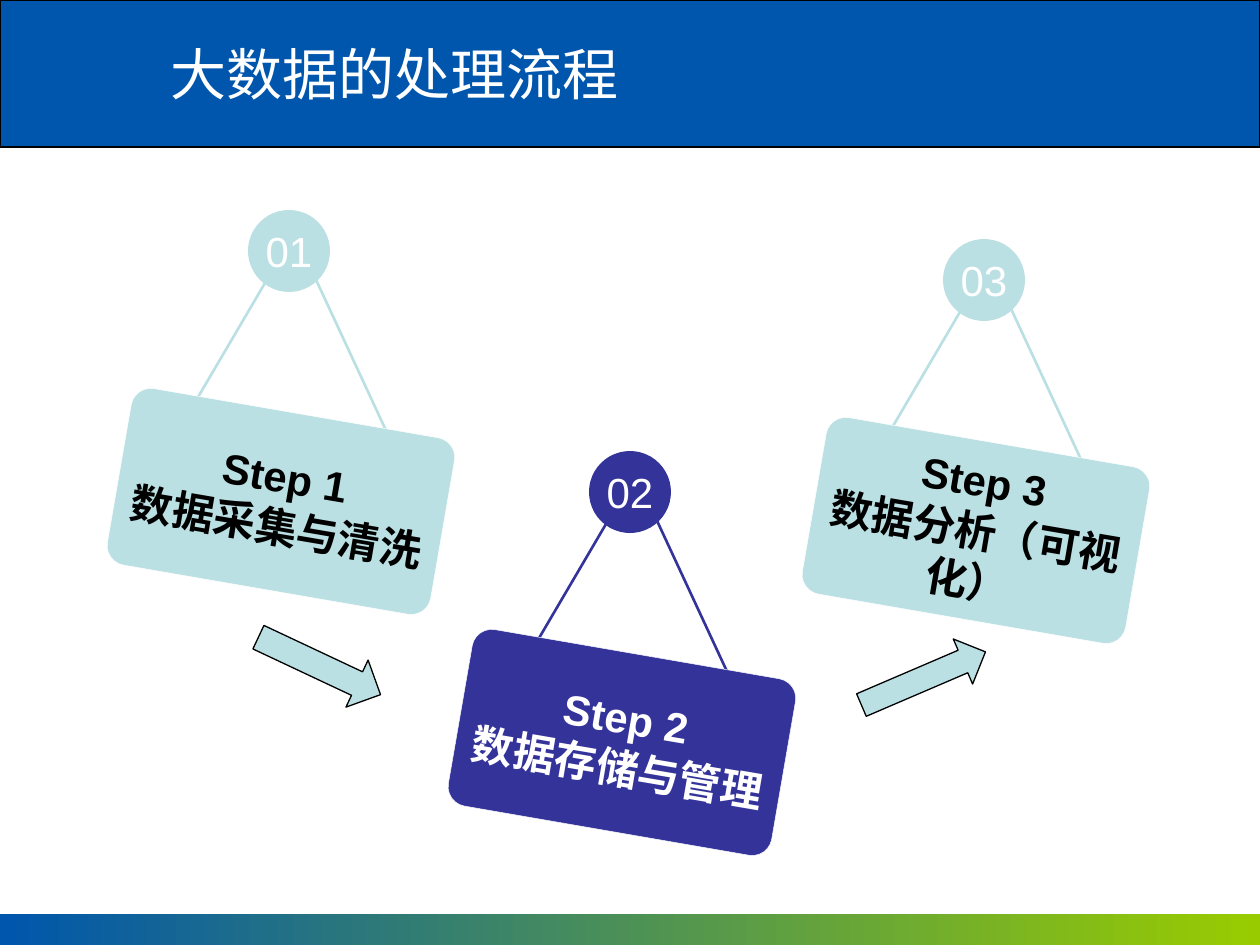
from dataclasses import dataclass
from typing import Any

from pptx import Presentation
from pptx.dml.color import RGBColor
from pptx.enum.shapes import MSO_SHAPE
from pptx.enum.text import MSO_ANCHOR, PP_ALIGN
from pptx.util import Emu, Pt

SCALE = 914400 / 126  # EMU in one px


@dataclass(frozen=True)
class Theme:
    font: str = "Arial"
    blue: str = "0056AC"
    green: str = "99CC00"
    pale: str = "BBE0E3"
    indigo: str = "333399"
    white: str = "FFFFFF"
    black: str = "000000"
    title_size: int = 32
    step_size: int = 24


THEME = Theme()


@dataclass(frozen=True)
class Box:
    left: int
    top: int
    width: int
    height: int


@dataclass(frozen=True)
class Sign:
    left: int  # corner of the number disc
    top: int
    number: str
    lines: tuple[str, ...]
    fill: str
    ink: str


@dataclass(frozen=True)
class Arrow:
    box: Box
    rotation: float


SIGNS = (
    Sign(248, 210, "01", ("Step 1", "数据采集与清洗"), THEME.pale, THEME.black),
    Sign(589, 451, "02", ("Step 2", "数据存储与管理"), THEME.indigo, THEME.white),
    Sign(943, 239, "03", ("Step 3", "数据分析（可视化）"), THEME.pale, THEME.black),
)
ARROWS = (
    Arrow(Box(252, 640, 135, 52), 25.2),
    Arrow(Box(856, 654, 135, 49), 336.8),
)
DISC = 82
CARD = Box(-131, 202, 328, 179)  # relative to the disc corner
CORD = ((-54, 194), (37, 39), (57, 46), (154, 255))


def px(length: int) -> Emu:
    return Emu(round(length * SCALE))


def rgb(color: str) -> RGBColor:
    return RGBColor.from_string(color)


def place(box: Box) -> tuple[Emu, ...]:
    return px(box.left), px(box.top), px(box.width), px(box.height)


def set_line(shape: Any, color: str | None, width: float) -> None:
    if color is None:
        shape.line.fill.background()
    else:
        shape.line.color.rgb = rgb(color)
        shape.line.width = Pt(width)


def add_block(shapes: Any, kind: MSO_SHAPE, box: Box, *, fill: str,
              line: str | None = None, width: float = 0.75,
              rotation: float = 0) -> Any:
    block = shapes.add_shape(kind, *place(box))
    block.shadow.inherit = False
    block.fill.solid()
    block.fill.fore_color.rgb = rgb(fill)
    set_line(block, line, width)
    block.rotation = rotation
    return block


def write(shape: Any, lines: tuple[str, ...], *, size: int, color: str,
          bold: bool = False, align: PP_ALIGN = PP_ALIGN.CENTER,
          inset: bool = False) -> None:
    frame = shape.text_frame
    frame.word_wrap = True
    frame.vertical_anchor = MSO_ANCHOR.MIDDLE
    if not inset:
        frame.margin_left = frame.margin_right = 0
        frame.margin_top = frame.margin_bottom = 0
    frame.text = "\n".join(lines)
    for paragraph in frame.paragraphs:
        paragraph.alignment = align
        for run in paragraph.runs:
            run.font.name = THEME.font
            run.font.size = Pt(size)
            run.font.bold = bold
            run.font.color.rgb = rgb(color)


def draw_sign(shapes: Any, sign: Sign) -> None:
    parts = shapes.add_group_shape().shapes

    # Cord from the disc to the card
    start, *rest = [(sign.left + x, sign.top + y) for x, y in CORD]
    builder = parts.build_freeform(*start, scale=SCALE)
    builder.add_line_segments(rest, close=False)
    cord = builder.convert_to_shape()
    cord.shadow.inherit = False
    cord.fill.background()
    set_line(cord, sign.fill, 1.5)

    # Tilted card
    card_box = Box(sign.left + CARD.left, sign.top + CARD.top, CARD.width, CARD.height)
    card = add_block(parts, MSO_SHAPE.ROUNDED_RECTANGLE, card_box, fill=sign.fill,
                     line=THEME.white, width=0.25, rotation=9.8)
    card.adjustments[0] = 0.11
    write(card, sign.lines, size=THEME.step_size, color=sign.ink, bold=True)

    # Number disc
    disc = add_block(parts, MSO_SHAPE.OVAL, Box(sign.left, sign.top, DISC, DISC),
                     fill=sign.fill)
    write(disc, (sign.number,), size=THEME.step_size, color=THEME.white)


def draw_frame(shapes: Any) -> None:
    # Header band and title
    add_block(shapes, MSO_SHAPE.RECTANGLE, Box(0, 0, 1260, 147),
              fill=THEME.blue, line=THEME.black)
    title = shapes.add_textbox(*place(Box(158, 10, 1102, 126)))
    write(title, ("大数据的处理流程",), size=THEME.title_size, color=THEME.white,
          align=PP_ALIGN.LEFT, inset=True)

    # Footer band with a gradient
    footer = add_block(shapes, MSO_SHAPE.RECTANGLE, Box(0, 914, 1260, 31),
                       fill=THEME.blue)
    footer.fill.gradient()
    footer.fill.gradient_angle = 0
    for stop, color, position in zip(footer.fill.gradient_stops,
                                     (THEME.blue, THEME.green), (0, 1)):
        stop.color.rgb = rgb(color)
        stop.position = position


def main() -> None:
    deck = Presentation()
    deck.slide_width, deck.slide_height = px(1260), px(945)
    shapes = deck.slides.add_slide(deck.slide_layouts[6]).shapes

    draw_frame(shapes)
    for sign in SIGNS:
        draw_sign(shapes, sign)
    for arrow in ARROWS:
        add_block(shapes, MSO_SHAPE.RIGHT_ARROW, arrow.box, fill=THEME.pale,
                  line=THEME.black, rotation=arrow.rotation)

    deck.save("out.pptx")


if __name__ == "__main__":
    main()
